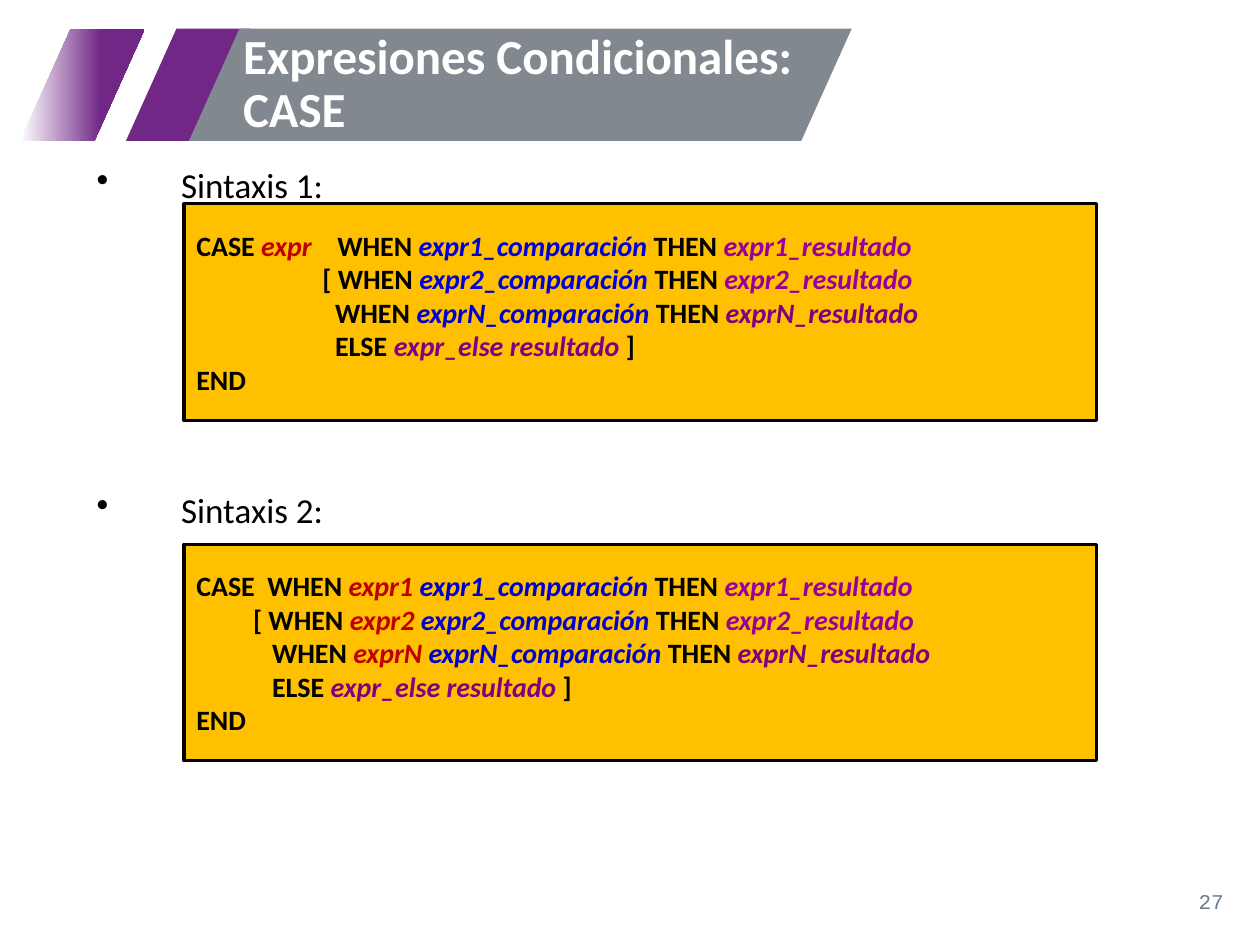
from dataclasses import dataclass

from lxml import etree
from pptx import Presentation
from pptx.dml.color import RGBColor
from pptx.enum.shapes import MSO_SHAPE
from pptx.enum.text import MSO_ANCHOR, PP_ALIGN
from pptx.oxml.ns import qn
from pptx.util import Cm, Pt

PARALLELOGRAM = MSO_SHAPE.PARALLELOGRAM
RECTANGLE = MSO_SHAPE.RECTANGLE
TOP, MIDDLE = MSO_ANCHOR.TOP, MSO_ANCHOR.MIDDLE
LEFT, RIGHT, JUSTIFY = PP_ALIGN.LEFT, PP_ALIGN.RIGHT, PP_ALIGN.JUSTIFY


@dataclass(frozen=True)
class Theme:
    """Colours, fonts and type sizes of the slide."""
    font: str = "Calibri"
    number_font: str = "Courier New"
    white: str = "FFFFFF"
    black: str = "000000"
    purple: str = "702785"
    gray: str = "81888F"
    number: str = "6C7A8A"
    panel: str = "FFC000"
    subject: str = "C00000"
    bright_blue: str = "0000DA"
    blue: str = "0000CC"
    magenta: str = "990099"
    violet: str = "800080"
    title_size: int = 28
    heading_size: int = 20
    code_size: int = 16
    number_size: int = 12


THEME = Theme()


def rgb(color):
    """Turn a hexadecimal string into a colour."""
    return RGBColor.from_string(color)


def style_font(font, size, color, bold=False, italic=False, name=THEME.font):
    """Set the typeface, size, colour and emphasis of a font."""
    font.name, font.size = name, Pt(size)
    font.bold, font.italic = bold, italic
    font.color.rgb = rgb(color)


def add_text(slide, box, text, anchor=TOP):
    """Add a wrapping text box and return its first paragraph."""
    text_frame = slide.shapes.add_textbox(*map(Cm, box)).text_frame
    text_frame.word_wrap = True
    text_frame.vertical_anchor = anchor
    text_frame.text = text
    return text_frame.paragraphs[0]


def add_block(slide, kind, box, color):
    """Add a flat filled shape without outline."""
    shape = slide.shapes.add_shape(kind, *map(Cm, box))
    shape.shadow.inherit = False
    shape.fill.solid()
    shape.fill.fore_color.rgb = rgb(color)
    shape.line.fill.background()
    return shape


def add_banner(slide, box, title):
    """Draw the slanted banner with its title."""
    left, top, width, height = box
    stripe = 2.51
    parts = ((2.13, stripe, THEME.purple), (0, stripe, THEME.purple),
             (3.4, width - 3.4, THEME.gray))
    for offset, part_width, color in parts:
        shape = add_block(slide, PARALLELOGRAM,
                          (left + offset, top, part_width, height), color)
        shape.adjustments[0] = 0.45
        if offset == 0:
            shape.fill.gradient()
            shape.fill.gradient_angle = 0
            stops = zip(shape.fill.gradient_stops, (0, 0.65), (THEME.white, color))
            for stop, position, stop_color in stops:
                stop.position = position
                stop.color.rgb = rgb(stop_color)
    paragraph = add_text(slide, (left + 4.24, top, 11.91, height), title, MIDDLE)
    paragraph.line_spacing = 0.9
    style_font(paragraph.runs[0].font, THEME.title_size, THEME.white, bold=True)


def add_heading(slide, box, text):
    """Add a bulleted heading with a hanging indent."""
    paragraph = add_text(slide, box, text)
    paragraph.alignment = JUSTIFY
    paragraph.line_spacing = 0.8
    properties = paragraph._p.get_or_add_pPr()
    properties.set("marL", str(Cm(1.7)))
    properties.set("indent", str(-Cm(1.7)))
    etree.SubElement(properties, qn("a:buChar")).set("char", "•")
    style_font(paragraph.runs[0].font, THEME.heading_size, THEME.black)


def add_code_panel(slide, box, lines, tab_stop):
    """Add a framed panel whose lines are lists of text and colour pairs."""
    shape = add_block(slide, RECTANGLE, box, THEME.panel)
    shape.line.color.rgb = rgb(THEME.black)
    shape.line.width = Pt(1.75)
    text_frame = shape.text_frame
    text_frame.word_wrap = True
    text_frame.vertical_anchor = TOP
    text_frame.margin_top = Cm(0.49)
    for index, line in enumerate(lines):
        paragraph = text_frame.add_paragraph() if index else text_frame.paragraphs[0]
        paragraph.alignment = LEFT
        if index == 0:
            tabs = etree.SubElement(paragraph._p.get_or_add_pPr(), qn("a:tabLst"))
            etree.SubElement(tabs, qn("a:tab"), pos=str(Cm(tab_stop)), algn="l")
        for text, color in line:
            run = paragraph.add_run()
            run.text = text
            style_font(run.font, THEME.code_size, color, bold=True,
                       italic=color != THEME.black)


def add_syntax(slide, box, heading, panel_offset, lines, tab_stop):
    """Place a heading and its code panel inside the box."""
    left, top, width, height = box
    add_heading(slide, (left, top, 6.93, 1.14), heading)
    add_code_panel(slide, (left + 2.01, top + panel_offset, width - 2.01,
                           height - panel_offset), lines, tab_stop)


def branch(lead, number, compare_color, result_color, has_subject=False):
    """Return the pairs of one WHEN ... THEN branch."""
    subject = [(f"expr{number} ", THEME.subject)] if has_subject else []
    return [(f"{lead}WHEN ", THEME.black), *subject,
            (f"expr{number}_comparación ", compare_color),
            ("THEN ", THEME.black), (f"expr{number}_resultado", result_color)]


def closing(indent):
    """Return the ELSE and END lines."""
    return [[(" " * indent + "ELSE ", THEME.black),
             ("expr_else resultado ", THEME.violet), ("]", THEME.black)],
            [("END", THEME.black)]]


def add_page_number(slide, box, number):
    """Write the page number at the right of the box."""
    paragraph = add_text(slide, box, number, MIDDLE)
    paragraph.alignment = RIGHT
    style_font(paragraph.runs[0].font, THEME.number_size, THEME.number,
               name=THEME.number_font)


def main():
    """Build and save the presentation."""
    presentation = Presentation()
    presentation.slide_width, presentation.slide_height = Cm(25.4), Cm(19.05)
    slide = presentation.slides.add_slide(presentation.slide_layouts[6])
    simple_case = [
        [("CASE ", THEME.black), ("expr", THEME.subject),
         *branch("\t", "1", THEME.bright_blue, THEME.magenta)],
        branch(" " * 20 + "[ ", "2", THEME.bright_blue, THEME.magenta),
        branch(" " * 22, "N", THEME.blue, THEME.violet),
        *closing(22),
    ]
    searched_case = [
        branch("CASE\t", "1", THEME.blue, THEME.magenta, True),
        branch(" " * 9 + "[ ", "2", THEME.blue, THEME.magenta, True),
        branch(" " * 12, "N", THEME.blue, THEME.violet, True),
        *closing(12),
    ]
    add_banner(slide, (0.41, 0.58, 16.76, 2.26), "Expresiones Condicionales: CASE")
    add_syntax(slide, (1.7, 3.33, 20.4, 5.15), "Sintaxis 1:", 0.78, simple_case, 2.84)
    add_syntax(slide, (1.7, 9.88, 20.4, 5.46), "Sintaxis 2:", 1.09, searched_case, 1.43)
    add_page_number(slide, (19.2, 17.65, 5.72, 1.02), "27")
    presentation.save("out.pptx")


if __name__ == "__main__":
    main()
